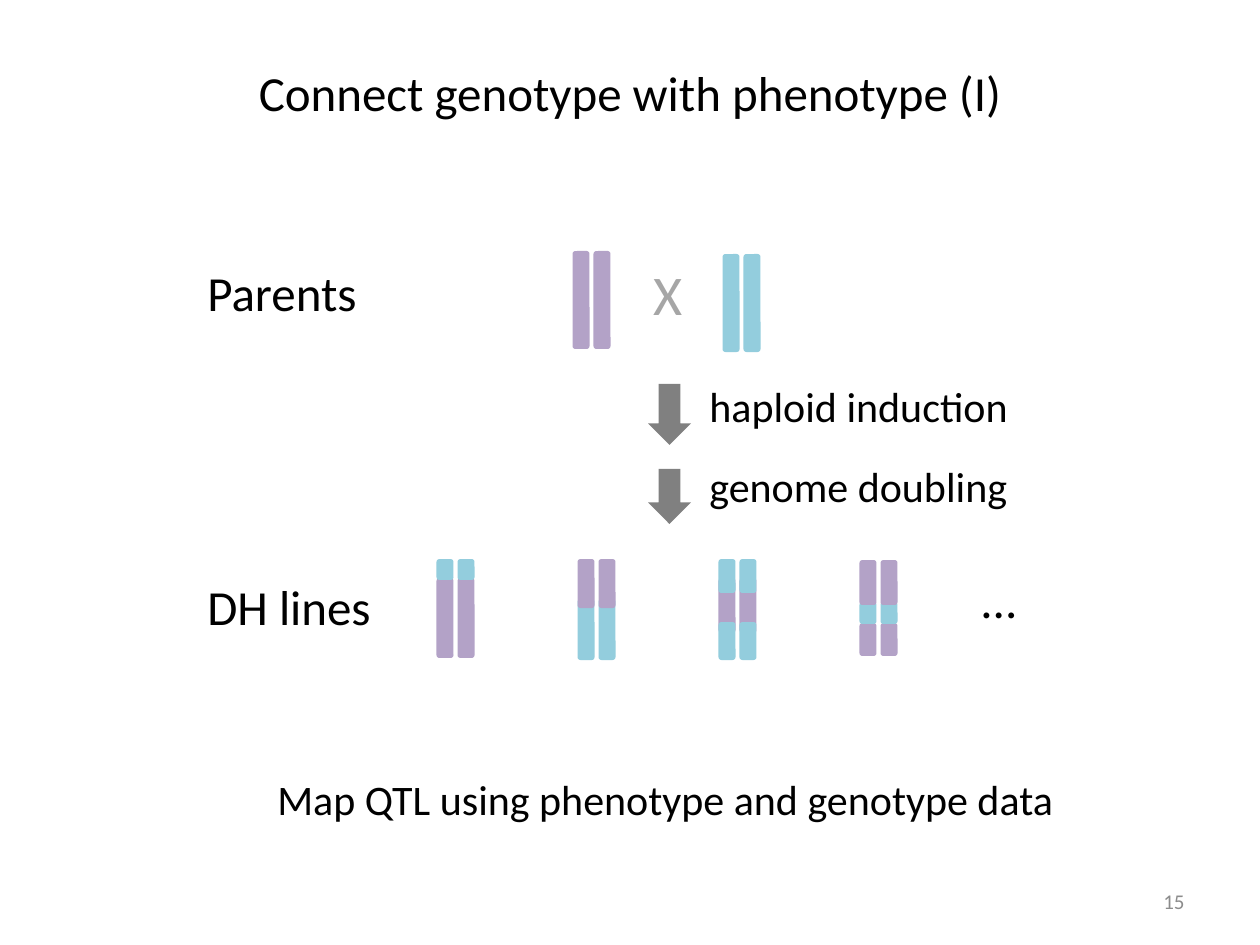
from pptx import Presentation
from pptx import util as u
from pptx.dml.color import RGBColor
from pptx.enum import shapes, text

PX = u.Inches(1) / 126
HEX = {"black": "000000", "grey": "8C8C8C", "cross": "A6A6A6", "arrow": "808080",
       "blue": "93CDDD", "plum": "B3A2C7"}
KIND = shapes.MSO_SHAPE
WIDE, STEP = 17, 21  # bar width, distance between sister bars

# Pieces from back to front: colour, top, length
LINES = [
    [("plum", 578, 80), ("blue", 559, 21)],
    [("blue", 599, 61), ("plum", 559, 49)],
    [("plum", 578, 55), ("blue", 559, 34), ("blue", 622, 38)],
    [("plum", 623, 33), ("blue", 602, 22), ("plum", 560, 45)],
]


def emu(*nums):
    return [u.Emu(round(n * PX)) for n in nums]


def color(name):
    return RGBColor.from_string(HEX[name])


def style(para, size, ink="black", align=text.PP_ALIGN.LEFT):
    para.alignment = align
    font = para.font
    font.name, font.size = "Calibri", u.Pt(size)
    font.color.rgb = color(ink)


def label(slide, words, box, size, ink="black", align=text.PP_ALIGN.LEFT, wrap=False):
    frame = slide.shapes.add_textbox(*emu(*box)).text_frame
    frame.word_wrap = wrap
    frame.text = words
    for para in frame.paragraphs:
        style(para, size, ink, align)
    return frame


def solid(group, kind, box, fill):
    shape = group.add_shape(kind, *emu(*box))
    shape.shadow.inherit = False
    shape.fill.solid()
    shape.fill.fore_color.rgb = color(fill)
    shape.line.fill.background()
    return shape


def pair(slide, mid, bits):
    """Two sister bars, the left one centred on mid, lying pieces turned upright."""
    group = slide.shapes.add_group_shape().shapes
    for x in (mid, mid + STEP):
        for fill, top, size in bits:
            box = (x - size / 2, top + (size - WIDE) / 2, size, WIDE)
            solid(group, KIND.ROUNDED_RECTANGLE, box, fill).rotation = 270


def heading(slide, words):
    title = slide.shapes.title
    title.left, title.top, title.width, title.height = emu(63, 38, 1134, 107)
    title.text_frame.text = words
    title.text_frame.vertical_anchor = text.MSO_ANCHOR.MIDDLE
    style(title.text_frame.paragraphs[0], 28, align=text.PP_ALIGN.CENTER)


def main():
    deck = Presentation()
    deck.slide_width, deck.slide_height = emu(1260, 945)
    slide = deck.slides.add_slide(deck.slide_layouts[5])
    heading(slide, "Connect genotype with phenotype (I)")

    # Parents
    label(slide, "Parents", (195, 256, 179, 72), 28)
    pair(slide, 581, [("plum", 251, 98)])
    label(slide, "X", (641, 253, 54, 81), 32, "cross")
    pair(slide, 731, [("blue", 254, 98)])

    # Steps
    for top, high in ((384, 61), (469, 55)):
        solid(slide.shapes, KIND.DOWN_ARROW, (648, top, 43, high), "arrow")
    steps = label(slide, "haploid induction\ngenome doubling", (697, 384, 413, 136), 24, wrap=True)
    for para in steps.paragraphs:
        para.line_spacing = 0.8
    steps.paragraphs[1].space_before = u.Pt(23)

    # Doubled haploid lines
    label(slide, "DH lines", (195, 570, 190, 72), 28)
    for i, bits in enumerate(LINES):
        pair(slide, 445 + 141 * i, bits)
    label(slide, "...", (968, 563, 63, 72), 28)

    # Conclusion and page number
    label(slide, "Map QTL using phenotype and genotype data", (265, 767, 809, 63), 24)
    page = label(slide, "15", (903, 876, 294, 50), 12, "grey", text.PP_ALIGN.RIGHT, True)
    page.vertical_anchor = text.MSO_ANCHOR.MIDDLE

    deck.save("out.pptx")


if __name__ == "__main__":
    main()
